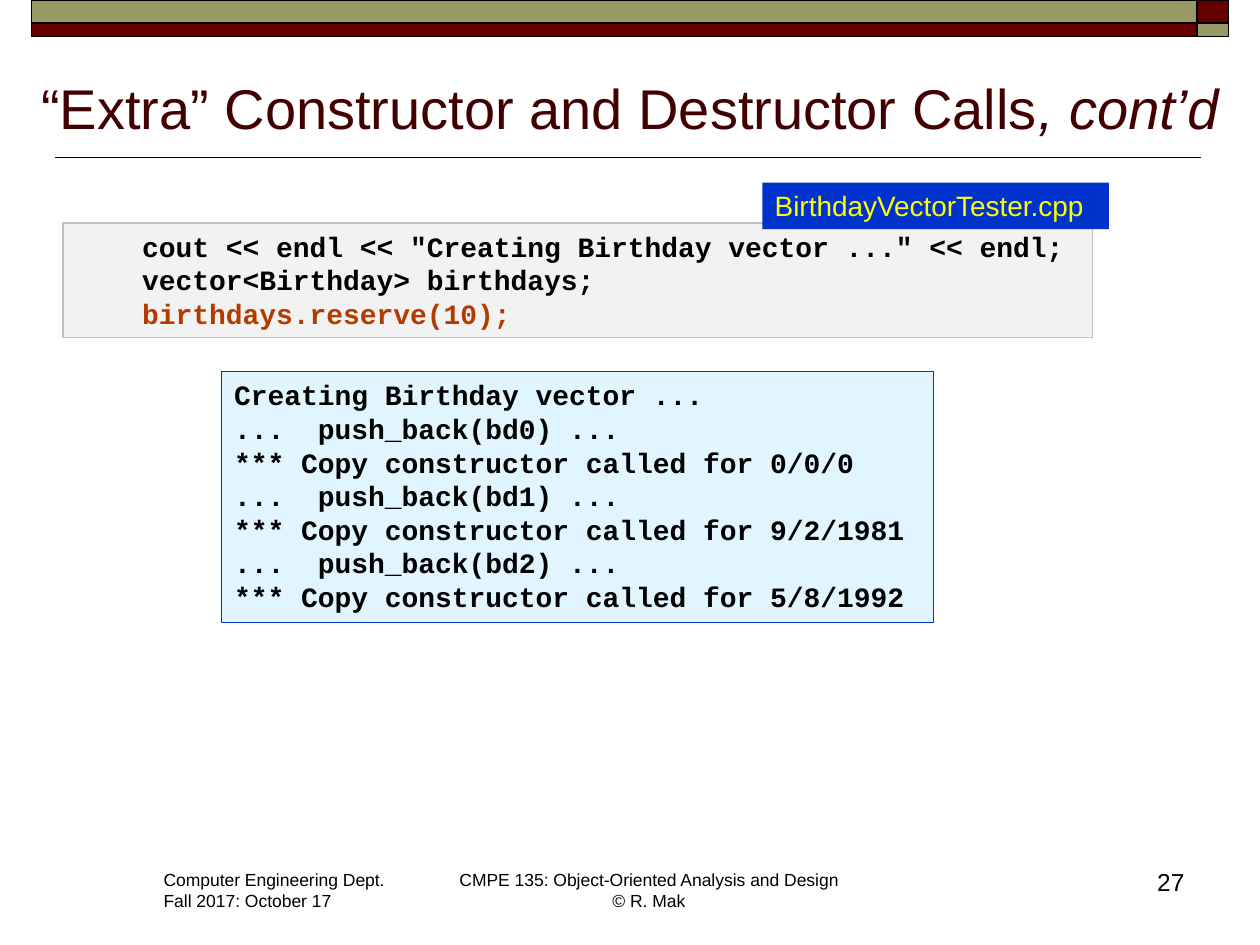
from pptx import Presentation
from pptx.dml.color import RGBColor
from pptx.enum.shapes import MSO_CONNECTOR, MSO_SHAPE
from pptx.enum.text import MSO_ANCHOR, MSO_AUTO_SIZE, PP_ALIGN
from pptx.oxml.ns import qn
from pptx.util import Inches, Pt

MAROON = RGBColor(0x66, 0x00, 0x00)
OLIVE = RGBColor(0x99, 0x99, 0x66)
TITLE_BROWN = RGBColor(0x42, 0x00, 0x00)
BLACK = RGBColor(0x00, 0x00, 0x00)
CODE_FILL = RGBColor(0xF2, 0xF2, 0xF2)
CODE_LINE = RGBColor(0xBF, 0xBF, 0xBF)
OUTPUT_FILL = RGBColor(0xE1, 0xF5, 0xFF)
BLUE = RGBColor(0x00, 0x33, 0xCC)
YELLOW = RGBColor(0xFF, 0xFF, 0x00)
HIGHLIGHT = RGBColor(0xB2, 0x3C, 0x00)

CODE_LINES = [
    'cout << endl << "Creating Birthday vector ..." << endl;',
    "vector<Birthday> birthdays;",
    "birthdays.reserve(10);",
]
OUTPUT_LINES = ["Creating Birthday vector ..."]
for number, date in enumerate(["0/0/0", "9/2/1981", "5/8/1992"]):
    OUTPUT_LINES += [f"...\u00a0 push_back(bd{number}) ...",
                     f"*** Copy constructor called for {date}"]


def write(shape, text, size, color=BLACK, font="Arial", bold=False,
          align=PP_ALIGN.LEFT, wrap=False):
    frame = shape.text_frame
    frame.text = text
    frame.word_wrap = wrap
    frame.auto_size = MSO_AUTO_SIZE.NONE
    frame.vertical_anchor = MSO_ANCHOR.TOP
    for paragraph in frame.paragraphs:
        paragraph.alignment = align
        for run in paragraph.runs:
            run.font.size = Pt(size)
            run.font.name = font
            run.font.bold = bold
            run.font.color.rgb = color
    return frame


def add_box(slide, box, fill, line=None, line_width=0.75):
    shape = slide.shapes.add_shape(MSO_SHAPE.RECTANGLE, *map(Inches, box))
    shape.shadow.inherit = False
    shape.fill.solid()
    shape.fill.fore_color.rgb = fill
    if line is None:
        shape.line.fill.background()
    else:
        shape.line.color.rgb = line
        shape.line.width = Pt(line_width)
    return shape


def add_header(slide, box):
    """Checkered band: two rows, with the colours swapped in the end column."""
    left, top, width, height = box
    end = 0.25
    upper = 0.18
    rows = [(top, upper, OLIVE, MAROON),
            (top + upper, height - upper, MAROON, OLIVE)]
    for row_top, row_height, main, corner in rows:
        add_box(slide, (left, row_top, width - end, row_height), main, BLACK, 1)
        add_box(slide, (left + width - end, row_top, end, row_height),
                corner, BLACK, 1)


def add_title(slide, box):
    left, top, width, height = map(Inches, box)
    title = slide.shapes.title
    title.left, title.top, title.width, title.height = left, top, width, height
    frame = write(title, "\u201cExtra\u201d Constructor and Destructor Calls",
                  32, TITLE_BROWN, align=PP_ALIGN.CENTER, wrap=True)
    frame.vertical_anchor = MSO_ANCHOR.BOTTOM
    suffix = frame.paragraphs[0].add_run()
    suffix.text = ", cont\u2019d"
    suffix.font.size = Pt(32)
    suffix.font.name = "Arial"
    suffix.font.italic = True
    suffix.font.color.rgb = TITLE_BROWN

    # Rule under the title
    rule_y = top + height + Inches(0.08)
    rule = slide.shapes.add_connector(MSO_CONNECTOR.STRAIGHT, Inches(0.44),
                                      rule_y, Inches(9.53), rule_y)
    rule.line.color.rgb = BLACK
    rule.line.width = Pt(1)
    properties = rule._element.spPr
    properties.append(properties.makeelement(qn("a:effectLst"), {}))


def add_code(slide, box):
    left, top, width, height = box
    panel = add_box(slide, box, CODE_FILL, CODE_LINE)
    frame = write(panel, "\n".join(CODE_LINES), 16, font="Courier New", bold=True)
    for paragraph in frame.paragraphs:
        paragraph._p.get_or_add_pPr().set("marL", str(Inches(0.53)))
    frame.paragraphs[-1].runs[0].font.color.rgb = HIGHLIGHT


def add_output(slide, box):
    panel = add_box(slide, box, OUTPUT_FILL, BLUE)
    write(panel, "\n".join(OUTPUT_LINES), 16, font="Courier New", bold=True,
          wrap=True)


def add_file_label(slide, box):
    write(add_box(slide, box, BLUE), "BirthdayVectorTester.cpp", 16, YELLOW)


def add_footer(slide, top):
    parts = [
        (1.2, top, 1.97, 0.44, 10, PP_ALIGN.LEFT,
         "Computer Engineering Dept.\nFall 2017: October 17"),
        (3.53, top, 3.24, 0.44, 10, PP_ALIGN.CENTER,
         "CMPE 135: Object-Oriented Analysis and Design\v\u00a9 R. Mak"),
        (8.9, top - 0.02, 0.6, 0.5, 14, PP_ALIGN.RIGHT, "27"),
    ]
    for *box, size, align, text in parts:
        write(slide.shapes.add_textbox(*map(Inches, box)), text, size,
              align=align, wrap=True)


presentation = Presentation()
presentation.slide_width = Inches(10)
presentation.slide_height = Inches(7.5)
slide = presentation.slides.add_slide(presentation.slide_layouts[5])

add_header(slide, (0.25, 0, 9.5, 0.29))
add_footer(slide, 6.85)
add_title(slide, (0.2, 0.45, 9.6, 0.72))
add_code(slide, (0.5, 1.77, 8.17, 0.91))
add_output(slide, (1.76, 2.95, 5.65, 1.99))
add_file_label(slide, (6.05, 1.45, 2.75, 0.37))

presentation.save("out.pptx")
